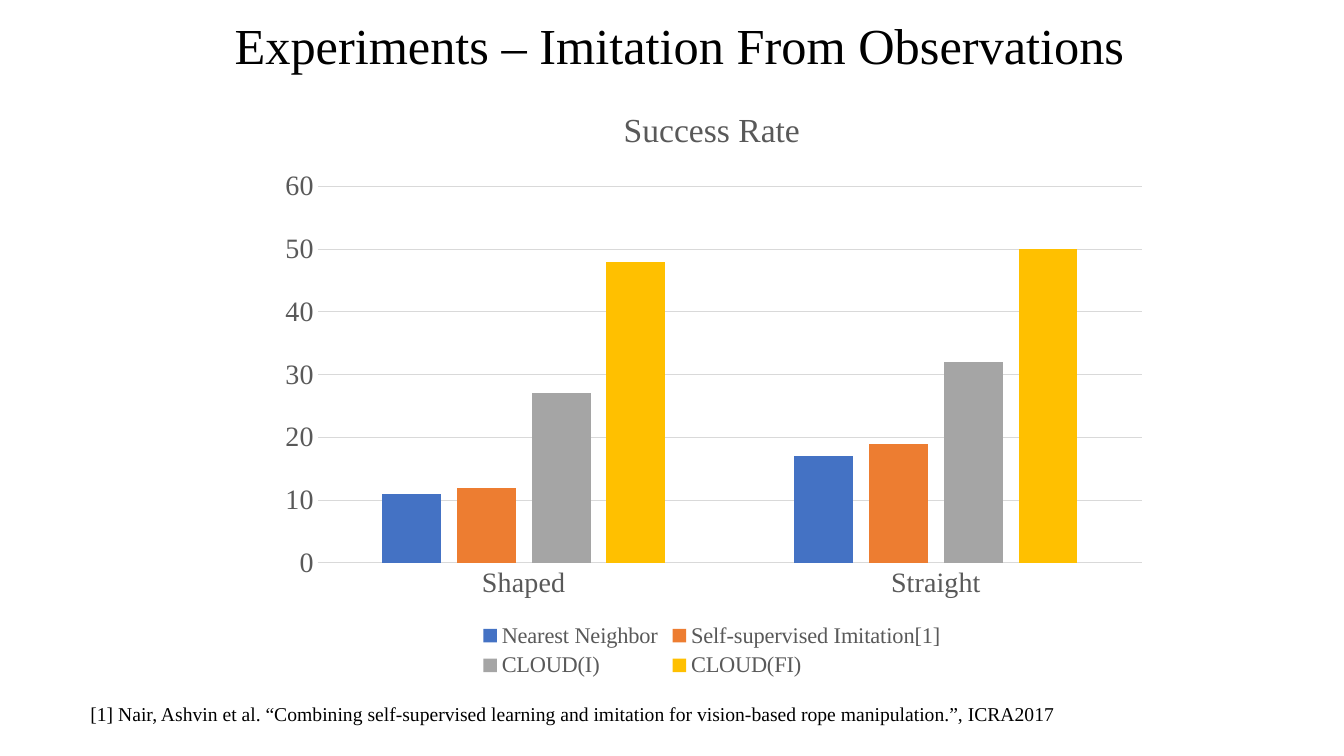
from lxml.etree import SubElement
from pptx import Presentation
from pptx.chart.data import CategoryChartData
from pptx.dml.color import RGBColor
from pptx.enum.chart import XL_CHART_TYPE, XL_LEGEND_POSITION, XL_TICK_MARK
from pptx.enum.text import MSO_ANCHOR
from pptx.oxml.ns import qn
from pptx.util import Pt

FACE = "Times New Roman"
BLACK, GRAY, RULE = "000000", "595959", "D9D9D9"
METHODS = [
    ("Nearest Neighbor", (11, 17), "4472C4"),
    ("Self-supervised Imitation[1]", (12, 19), "ED7D31"),
    ("CLOUD(I)", (27, 32), "A5A5A5"),
    ("CLOUD(FI)", (48, 50), "FFC000"),
]


def color(hex_text):
    return RGBColor.from_string(hex_text)


def set_values(target, values):
    for name, value in values.items():
        setattr(target, name, value)


def style_font(font, size, hex_text):
    set_values(font, {"name": FACE, "size": Pt(size), "bold": False})
    font.color.rgb = color(hex_text)


def style_rule(line):
    line.color.rgb = color(RULE)
    line.width = Pt(0.75)


def add_line_of_text(slide, box, words, size, anchor):
    frame = slide.shapes.add_textbox(*map(Pt, box)).text_frame
    set_values(frame, {"word_wrap": True, "vertical_anchor": anchor})
    paragraph = frame.paragraphs[0]
    paragraph.text = words
    paragraph.line_spacing = 0.9
    style_font(paragraph.font, size, BLACK)


def place_plot(chart, fractions):
    """Fix the inner plot area as fractions of the chart box."""
    plot_area = chart.plots[0]._element.getparent()
    layout = plot_area.find(qn("c:layout"))
    if layout is None:
        layout = SubElement(plot_area, qn("c:layout"))
        plot_area.insert(0, layout)
    manual = SubElement(layout, qn("c:manualLayout"))
    settings = {"layoutTarget": "inner", "xMode": "edge", "yMode": "edge", **fractions}
    for tag, value in settings.items():
        SubElement(manual, qn(f"c:{tag}")).set("val", str(value))


def add_success_chart(slide, box):
    rates = CategoryChartData()
    rates.categories = ["Shaped", "Straight"]
    for method, values, _ in METHODS:
        rates.add_series(method, values)
    chart = slide.shapes.add_chart(
        XL_CHART_TYPE.COLUMN_CLUSTERED, *map(Pt, box), rates).chart

    # Heading and legend
    heading = chart.chart_title.text_frame.paragraphs[0]
    heading.text = "Success Rate"
    style_font(heading.runs[0].font, 24, GRAY)
    chart.chart_title.include_in_layout = False
    chart.has_legend = True
    set_values(chart.legend, {"position": XL_LEGEND_POSITION.BOTTOM,
                              "include_in_layout": False})
    style_font(chart.legend.font, 16, GRAY)

    # Axes
    for axis in (chart.category_axis, chart.value_axis):
        set_values(axis, {"major_tick_mark": XL_TICK_MARK.NONE,
                          "minor_tick_mark": XL_TICK_MARK.NONE})
        style_font(axis.tick_labels.font, 20, GRAY)
    style_rule(chart.category_axis.format.line)
    set_values(chart.value_axis, {"minimum_scale": 0, "maximum_scale": 60,
                                  "major_unit": 10, "has_major_gridlines": True})
    style_rule(chart.value_axis.major_gridlines.format.line)
    chart.value_axis.format.line.fill.background()

    # Columns
    columns = chart.plots[0]
    set_values(columns, {"gap_width": 219, "overlap": -27, "vary_by_categories": False})
    for series, (_, _, fill) in zip(columns.series, METHODS):
        series.format.fill.solid()
        series.format.fill.fore_color.rgb = color(fill)
    place_plot(chart, {"x": 0.06, "y": 0.17, "w": 0.92, "h": 0.63})


def main():
    deck = Presentation()
    set_values(deck, {"slide_width": Pt(960), "slide_height": Pt(540)})
    slide = deck.slides.add_slide(deck.slide_layouts[6])
    add_line_of_text(slide, (160.5, 0, 695.5, 68.5),
                     "Experiments – Imitation From Observations", 36, MSO_ANCHOR.MIDDLE)
    add_line_of_text(slide, (57.5, 499.5, 807, 40.5),
                     "[1] Nair, Ashvin et al. “Combining self-supervised learning and "
                     "imitation for vision-based rope manipulation.”, ICRA2017",
                     14, MSO_ANCHOR.TOP)
    add_success_chart(slide, (188.5, 60.5, 640, 427))
    deck.save("out.pptx")


if __name__ == "__main__":
    main()
